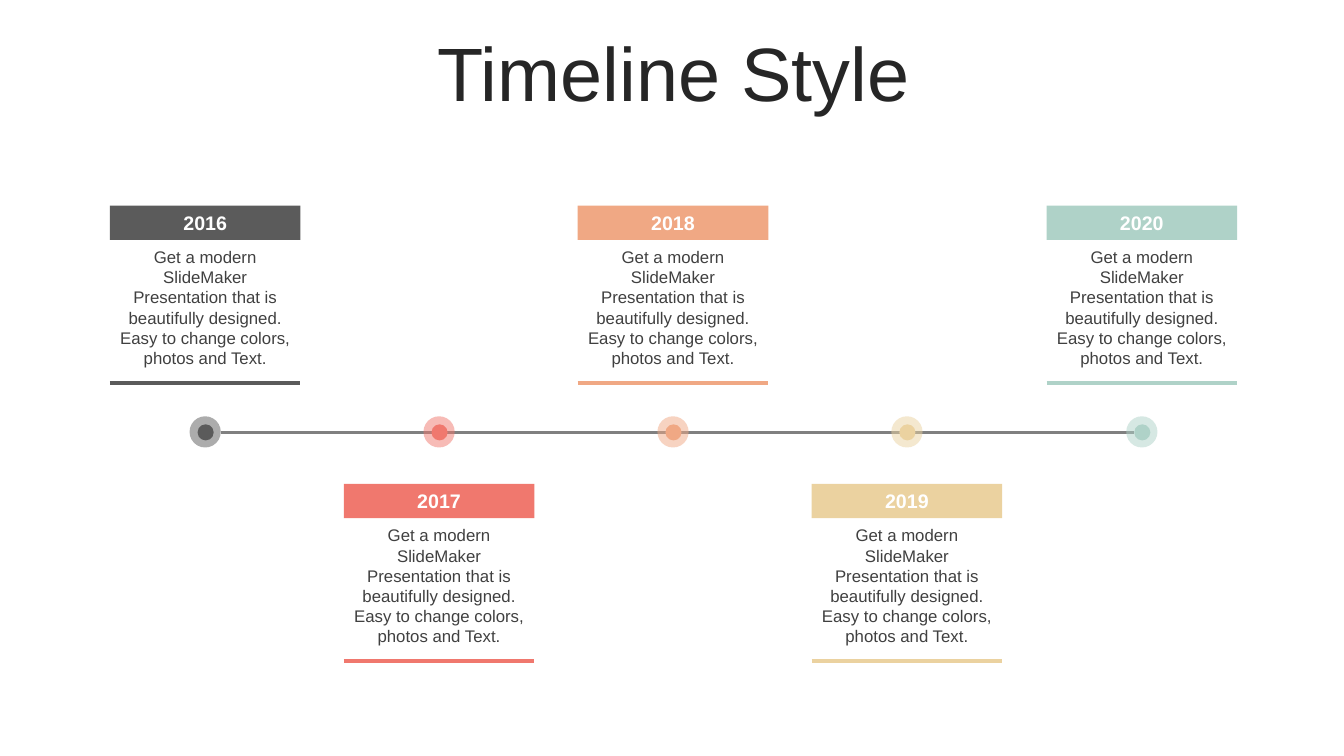
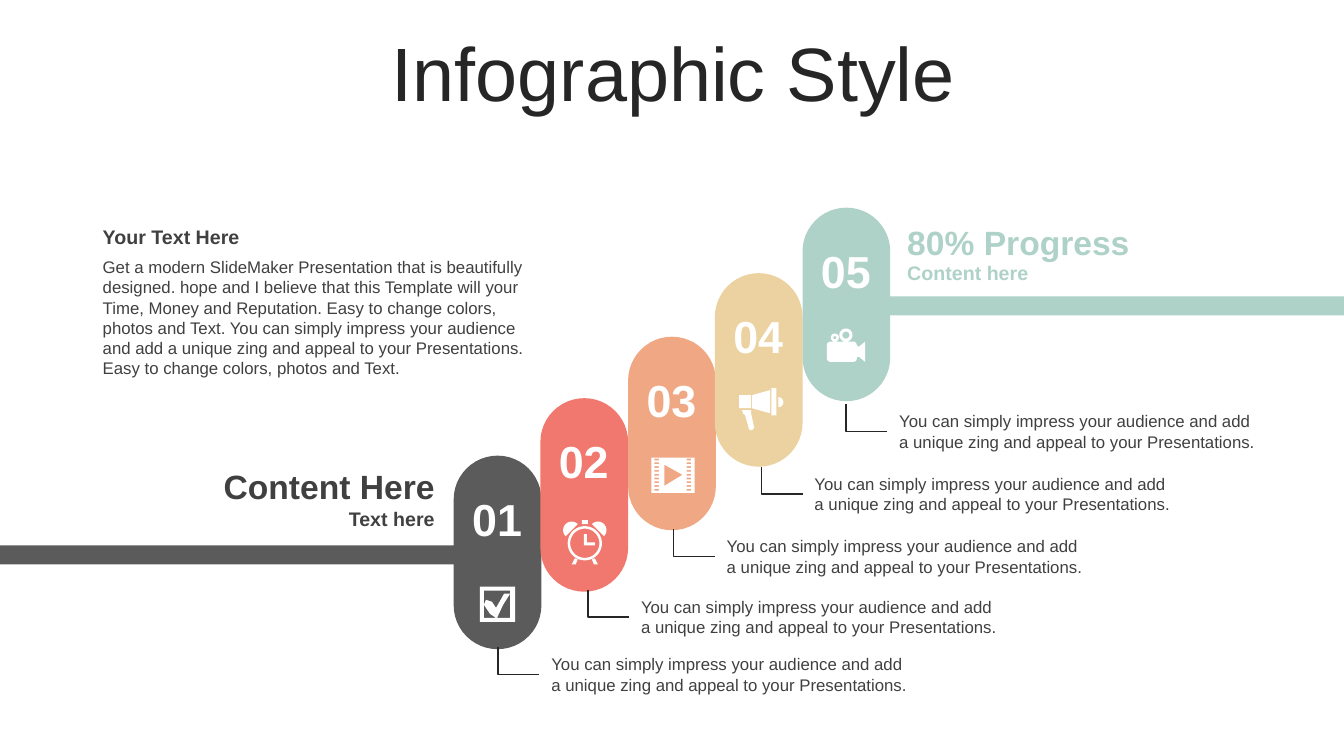
from dataclasses import dataclass
from math import cos, radians, sin

from lxml.etree import SubElement
from pptx import Presentation
from pptx.dml.color import RGBColor
from pptx.enum.shapes import MSO_CONNECTOR, MSO_SHAPE
from pptx.enum.text import MSO_ANCHOR, PP_ALIGN
from pptx.oxml.ns import qn
from pptx.util import Emu, Pt

# Shared style: 100 px to the inch
EMU_PER_PX = 9144
SLIDE_W, SLIDE_H = 1333, 750
FONT = "Arial"
WHITE = RGBColor(0xFF, 0xFF, 0xFF)
INK = RGBColor(0x26, 0x26, 0x26)
BODY = RGBColor(0x40, 0x40, 0x40)
AXIS = RGBColor(0x80, 0x80, 0x80)
GRAY = RGBColor(0x5B, 0x5B, 0x5B)
CORAL = RGBColor(0xF0, 0x78, 0x6E)
ORANGE = RGBColor(0xF0, 0xA8, 0x84)
SAND = RGBColor(0xEB, 0xD2, 0xA0)
MINT = RGBColor(0xAF, 0xD2, 0xC8)

Contour = list[tuple[float, float]]


@dataclass(frozen=True)
class Style:
    size: int
    color: RGBColor = BODY
    bold: bool = False
    align: PP_ALIGN = PP_ALIGN.LEFT
    anchor: MSO_ANCHOR = MSO_ANCHOR.TOP


@dataclass(frozen=True)
class Milestone:
    year: str
    color: RGBColor


@dataclass(frozen=True)
class Icon:
    left: int
    top: int
    contours: list[Contour]


@dataclass(frozen=True)
class Step:
    number: str
    color: RGBColor
    top: int
    elbow_x: int
    elbow_y: int
    icon: Icon


TITLE = Style(54, INK, align=PP_ALIGN.CENTER, anchor=MSO_ANCHOR.MIDDLE)
YEAR = Style(14, WHITE, True, PP_ALIGN.CENTER)
CARD_TEXT = Style(12, align=PP_ALIGN.CENTER)
NUMBER = Style(32, WHITE, True, PP_ALIGN.CENTER, MSO_ANCHOR.MIDDLE)
TEXT = Style(12)


def px(length: float) -> Emu:
    return Emu(round(length * EMU_PER_PX))


# Drawing helpers
def write(frame, text: str, style: Style):
    frame.word_wrap = True
    frame.vertical_anchor = style.anchor
    paragraph = frame.paragraphs[0]
    paragraph.alignment = style.align
    run = paragraph.add_run()
    run.text = text
    run.font.name = FONT
    run.font.size = Pt(style.size)
    run.font.bold = style.bold
    run.font.color.rgb = style.color
    return paragraph


def add_text(slide, left: int, top: int, width: int, height: int, text: str, style: Style):
    box = slide.shapes.add_textbox(px(left), px(top), px(width), px(height))
    return write(box.text_frame, text, style)


def add_block(slide, kind: MSO_SHAPE, left: int, top: int, width: int, height: int,
              color: RGBColor, opacity: int = 100):
    block = slide.shapes.add_shape(kind, px(left), px(top), px(width), px(height))
    block.shadow.inherit = False
    block.line.fill.background()
    block.fill.solid()
    block.fill.fore_color.rgb = color
    if opacity < 100:
        rgb = block.fill._xPr.find(qn("a:solidFill"))[0]
        SubElement(rgb, qn("a:alpha")).set("val", str(opacity * 1000))
    return block


def add_rule(slide, left: int, right: int, y: int, color: RGBColor, weight: int) -> None:
    rule = slide.shapes.add_connector(MSO_CONNECTOR.STRAIGHT, px(left), px(y), px(right), px(y))
    rule.line.color.rgb = color
    rule.line.width = Pt(weight)
    SubElement(rule._element.spPr, qn("a:effectLst"))


def add_outline(slide, left: int, top: int, contours: list[Contour], close: bool):
    builder = None
    for contour in contours:
        points = [(px(left + x), px(top + y)) for x, y in contour]
        if builder is None:
            builder = slide.shapes.build_freeform(*points[0], scale=1.0)
        else:
            builder.move_to(*points[0])
        builder.add_line_segments(points[1:], close=close)
    outline = builder.convert_to_shape()
    outline.shadow.inherit = False
    return outline


def add_icon(slide, icon: Icon) -> None:
    glyph = add_outline(slide, icon.left, icon.top, icon.contours, close=True)
    glyph.fill.solid()
    glyph.fill.fore_color.rgb = WHITE
    glyph.line.fill.background()


def add_elbow(slide, left: int, top: int) -> None:
    elbow = add_outline(slide, left, top, [[(0, 0), (0, 27), (41, 27)]], close=False)
    elbow.fill.background()
    elbow.line.color.rgb = INK
    elbow.line.width = Pt(1)


def new_slide(deck, title: str):
    slide = deck.slides.add_slide(deck.slide_layouts[6])
    heading = add_text(slide, 35, 37, 1266, 79, title, TITLE)
    heading.line_spacing = 0.9
    heading.space_before = Pt(10)
    return slide


# Icon contours; overlapping contours cut holes
def box(left: float, top: float, right: float, bottom: float) -> Contour:
    return [(left, top), (right, top), (right, bottom), (left, bottom)]


def arc(cx: float, cy: float, radius: float, start: int = 0, end: int = 360) -> Contour:
    return [(cx + radius * cos(radians(a)), cy + radius * sin(radians(a)))
            for a in range(start, end + 1, 10)]


CHECK = Icon(476, 582, [
    box(0, 0, 35, 35), box(4, 4, 30, 31),
    [(4, 18), (6, 13), (12, 15), (16, 21), (20, 14), (24, 7), (30, 7), (23, 18),
     (17, 31), (16, 31), (10, 27)],
])
CLOCK = Icon(558, 516, [
    arc(22, 23, 17), arc(22, 23, 14.5),
    arc(9, 10, 8.5, 135, 315), arc(35, 10, 8.5, 225, 405),
    box(19, 0, 25, 4),
    [(21, 14), (24, 14), (24, 22), (32, 22), (32, 25), (21, 25)],
    [(12, 38), (15, 39), (13, 44), (9, 44)],
    [(32, 38), (29, 39), (31, 44), (35, 44)],
])
FILM = Icon(646, 454, [
    box(0, 0, 43, 35), [(13, 7), (13, 28), (31, 17)],
    *(box(left, 1 + 3.75 * row, left + 4.5, 2.75 + 3.75 * row)
      for left in (3, 35) for row in range(9)),
])
MEGAPHONE = Icon(733, 385, [
    [(3, 22), (12, 22), (12, 25), (15, 39), (14, 41), (12, 42), (10, 41), (6, 27), (4, 25)],
    box(0, 7, 12, 20), [(31, 2), (31, 25), (13, 20), (13, 7)],
    box(32, 0, 37, 27), arc(39, 14, 5, -90, 90),
])
CAMERA = Icon(820, 326, [
    [(1, 14), (3, 13), (27, 13), (29, 14), (30, 17), (32, 18), (38, 13), (38, 33),
     (32, 28), (30, 28), (30, 30), (29, 32), (27, 33), (3, 33), (1, 32), (0, 30), (0, 16)],
    arc(19, 6.5, 6.5), arc(19, 6.5, 3.5), arc(8, 9, 4), arc(8, 9, 1.5),
])

# Slide content
MILESTONES = [
    Milestone("2016", GRAY),
    Milestone("2017", CORAL),
    Milestone("2018", ORANGE),
    Milestone("2019", SAND),
    Milestone("2020", MINT),
]
CARD_COPY = ("Get a modern SlideMaker Presentation that is beautifully designed. "
             "Easy to change colors, photos and Text.")
STEPS = [
    Step("01", GRAY, 452, 494, 642, CHECK),
    Step("02", CORAL, 395, 583, 585, CLOCK),
    Step("03", ORANGE, 334, 668, 525, FILM),
    Step("04", SAND, 271, 755, 463, MEGAPHONE),
    Step("05", MINT, 206, 839, 401, CAMERA),
]
STEP_COPY = ("You can simply impress your audience and add a unique zing "
             "and appeal to your Presentations.")
INTRO_COPY = ("Get a modern SlideMaker Presentation that is beautifully designed. "
              "hope and I believe that this Template will your Time, Money and Reputation. "
              "Easy to change colors, photos and Text. " + STEP_COPY +
              " Easy to change colors, photos and Text.")


def add_milestone(slide, index: int, milestone: Milestone) -> None:
    left = 109 + 929 * index // 4
    top = 480 if index % 2 else 204
    width = 189
    # Dot on the axis
    add_block(slide, MSO_SHAPE.OVAL, left + 79, 413, 31, 31, milestone.color, 50)
    add_block(slide, MSO_SHAPE.OVAL, left + 87, 421, 16, 16, milestone.color)
    # Card
    band = add_block(slide, MSO_SHAPE.RECTANGLE, left, top, width, 34, milestone.color)
    write(band.text_frame, milestone.year, YEAR)
    add_text(slide, left, top + 36, width, 131, CARD_COPY, CARD_TEXT)
    add_rule(slide, left, left + width, top + 176, milestone.color, 3)


def build_timeline(deck) -> None:
    slide = new_slide(deck, "Timeline Style")
    add_rule(slide, 219, 1125, 429, AXIS, 2)
    for index, milestone in enumerate(MILESTONES):
        add_milestone(slide, index, milestone)


def add_step(slide, index: int, step: Step) -> None:
    left = 450 + 173 * index // 2
    pill = add_block(slide, MSO_SHAPE.ROUNDED_RECTANGLE, left, step.top, 87, 192, step.color)
    pill.adjustments[0] = 0.5
    add_text(slide, left, step.top + 30, 86, 64, step.number, NUMBER)
    add_icon(slide, step.icon)
    add_elbow(slide, step.elbow_x, step.elbow_y)
    add_text(slide, step.elbow_x + 43, step.elbow_y + 2, 374, 50, STEP_COPY, TEXT)


def build_infographic(deck) -> None:
    slide = new_slide(deck, "Infographic Style")
    for index, step in enumerate(STEPS):
        add_step(slide, index, step)
    # Start and end bars
    add_block(slide, MSO_SHAPE.RECTANGLE, 0, 541, 451, 19, GRAY)
    add_block(slide, MSO_SHAPE.RECTANGLE, 882, 294, 451, 19, MINT)
    # Labels on the bars
    right = PP_ALIGN.RIGHT
    add_text(slide, 205, 457, 236, 50, "Content Here", Style(24, BODY, True, right))
    add_text(slide, 205, 498, 236, 34, "Text here", Style(14, BODY, True, right))
    add_text(slide, 890, 215, 257, 50, "80% Progress", Style(24, MINT, True))
    add_text(slide, 890, 254, 257, 34, "Content here", Style(14, MINT, True))
    # Introduction
    add_text(slide, 92, 218, 458, 34, "Your Text Here", Style(14, BODY, True))
    add_text(slide, 92, 250, 458, 131, INTRO_COPY, TEXT)


def main() -> None:
    deck = Presentation()
    deck.slide_width, deck.slide_height = px(SLIDE_W), px(SLIDE_H)
    build_timeline(deck)
    build_infographic(deck)
    deck.save("out.pptx")


if __name__ == "__main__":
    main()
